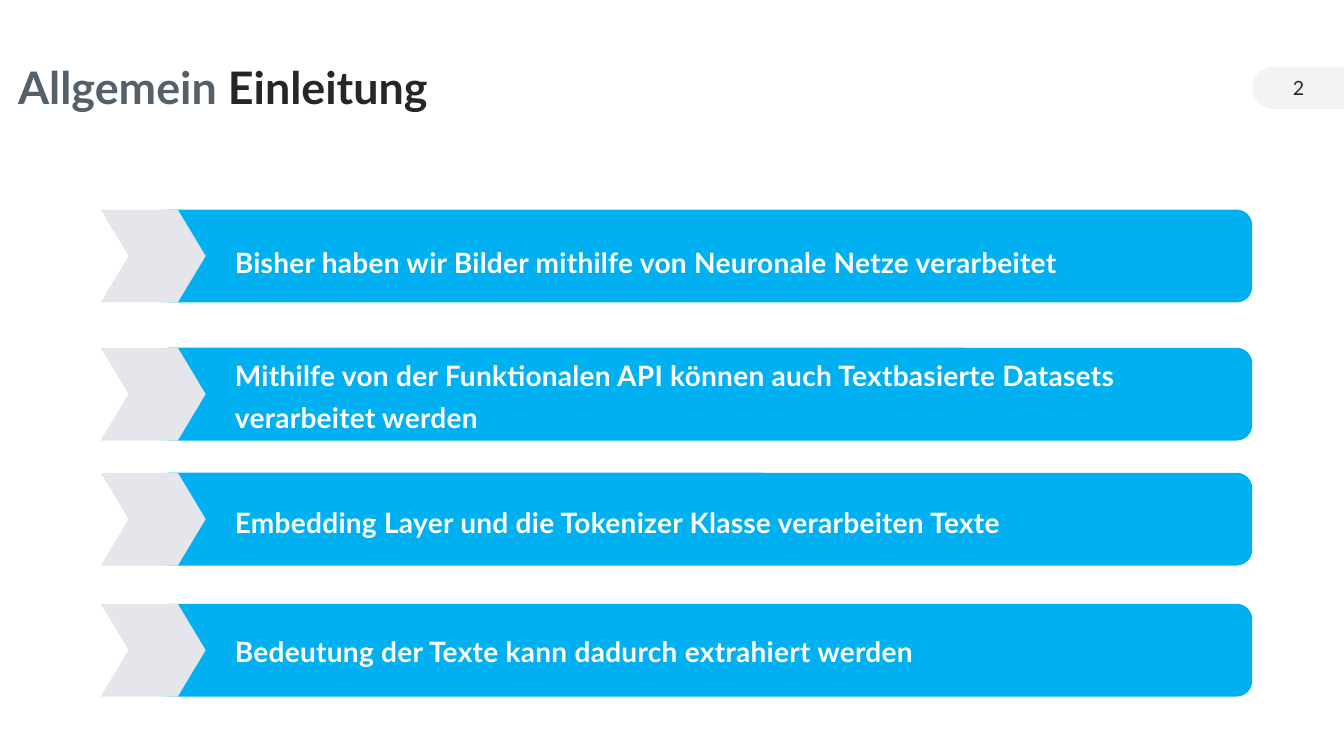
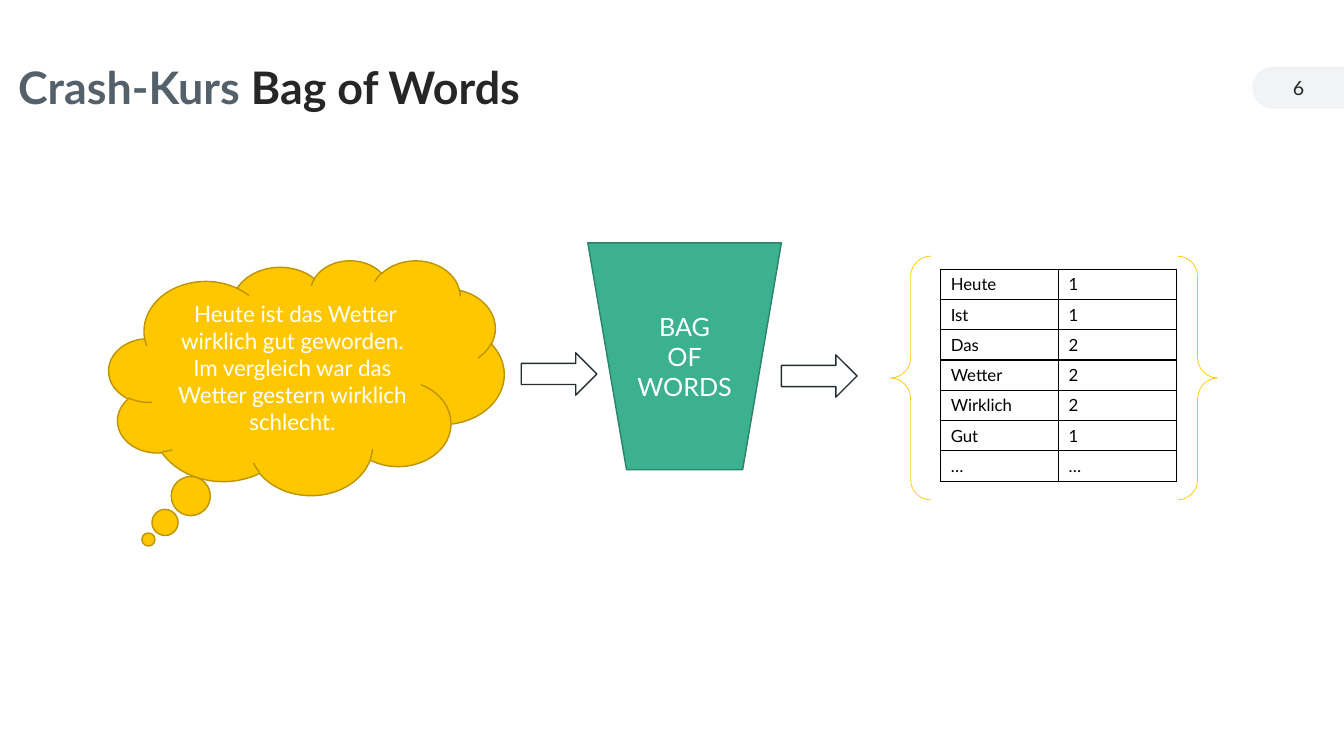
from lxml.etree import SubElement
from pptx import Presentation
from pptx.dml.color import RGBColor
from pptx.enum.shapes import MSO_SHAPE as Shape
from pptx.enum.text import MSO_ANCHOR as Anchor, MSO_AUTO_SIZE as AutoSize, PP_ALIGN as Align
from pptx.oxml.ns import qn
from pptx.util import Inches, Pt

FONT = "Lato"
COLORS = {
    "white": "FFFFFF", "black": "000000", "dark": "262626", "slate": "55616A",
    "pill": "F1F3F5", "blue": "00B0F0", "chevron": "E4E6EB",
    "yellow": "FFC700", "ochre": "BD9300",
    "green": "3BB18F", "pine": "2C836A", "arrow": "262E32",
}
BANDS = [
    (2.08, 0.02, "Bisher haben wir Bilder mithilfe von Neuronale Netze verarbeitet"),
    (3.45, -0.02, "Mithilfe von der Funktionalen API können auch Textbasierte Datasets "
                  "verarbeitet werden"),
    (4.69, -0.01, "Embedding Layer und die Tokenizer Klasse verarbeiten Texte"),
    (5.99, -0.03, "Bedeutung der Texte kann dadurch extrahiert werden"),
]
BAND_HEIGHT = 0.92
SENTENCE = (" Heute ist das Wetter wirklich gut geworden. "
            "Im vergleich war das Wetter gestern wirklich schlecht.")
WORD_COUNTS = [("Heute", "1"), ("Ist", "1"), ("Das", "2"), ("Wetter", "2"),
               ("Wirklich", "2"), ("Gut", "1"), ("…", "…")]


def color(name):
    """Return the palette colour with this name."""
    return RGBColor.from_string(COLORS[name])


def add_run(paragraph, text, size, color_name, bold=False, spacing=None):
    """Append one formatted run to a paragraph."""
    run = paragraph.add_run()
    run.text = text
    formats = {"name": FONT, "size": Pt(size), "bold": bold}
    for name, value in formats.items():
        setattr(run.font, name, value)
    run.font.color.rgb = color(color_name)
    if spacing is not None:
        run._r.get_or_add_rPr().set("spc", str(round(spacing * 100)))


def format_frame(frame, anchor=Anchor.MIDDLE, side_margin=0.1):
    """Set wrapping, anchor and margins of a text frame."""
    formats = {
        "word_wrap": True, "auto_size": AutoSize.NONE, "vertical_anchor": anchor,
        "margin_left": Inches(side_margin), "margin_right": Inches(side_margin),
        "margin_top": Inches(0.05), "margin_bottom": Inches(0.05),
    }
    for name, value in formats.items():
        setattr(frame, name, value)


def add_shape(slide, kind, box, fill=None, line=None, line_width=1, adjustments=()):
    """Add a flat preset shape in a box given in inches."""
    shape = slide.shapes.add_shape(kind, *map(Inches, box))
    shape.shadow.inherit = False
    if fill:
        shape.fill.solid()
        shape.fill.fore_color.rgb = color(fill)
    else:
        shape.fill.background()
    if line:
        shape.line.color.rgb = color(line)
        shape.line.width = Pt(line_width)
    else:
        shape.line.fill.background()
    for index, value in enumerate(adjustments):
        shape.adjustments[index] = value
    return shape


def add_text(slide, box, text, size, color_name, align=Align.LEFT, line_spacing=1.0, **run_format):
    """Add a one-paragraph text box without side margins."""
    frame = slide.shapes.add_textbox(*map(Inches, box)).text_frame
    format_frame(frame, side_margin=0)
    paragraph = frame.paragraphs[0]
    paragraph.alignment = align
    paragraph.line_spacing = line_spacing
    add_run(paragraph, text, size, color_name, **run_format)


def fill_shape_text(shape, lines, size, anchor=Anchor.MIDDLE):
    """Write centred white paragraphs into a shape."""
    frame = shape.text_frame
    format_frame(frame, anchor)
    for index, line in enumerate(lines):
        paragraph = frame.add_paragraph() if index else frame.paragraphs[0]
        paragraph.alignment = Align.CENTER
        add_run(paragraph, line, size, "white")


def add_page_number(slide, number, box):
    """Draw the page number on a pill rounded at its left end."""
    left, top, width, height = box
    upright = (left + (width - height) / 2, top + (height - width) / 2, height, width)
    pill = add_shape(slide, Shape.ROUND_2_SAME_RECTANGLE, upright, "pill", adjustments=(0.5, 0))
    pill.rotation = 270
    add_text(slide, box, str(number), 14, "dark", Align.CENTER)


def add_titled_slide(presentation, topic, heading, number):
    """Add a title-only slide with a two-colour title and page number."""
    slide = presentation.slides.add_slide(presentation.slide_layouts[5])
    title = slide.shapes.title
    place = {"left": 0.18, "top": 0.45, "width": 8.65, "height": 0.88}
    for name, value in place.items():
        setattr(title, name, Inches(value))
    format_frame(title.text_frame, side_margin=0)
    paragraph = title.text_frame.paragraphs[0]
    paragraph.alignment = Align.LEFT
    paragraph.line_spacing = 0.9
    add_run(paragraph, topic + " ", 32, "slate", bold=True)
    add_run(paragraph, heading, 32, "dark", bold=True)
    add_page_number(slide, number, (12.42, 0.66, 0.92, 0.42))
    return slide


def add_band(slide, box, text, text_shift):
    """Draw a blue band with a chevron at its left end."""
    left, top, width, height = box
    add_shape(slide, Shape.ROUNDED_RECTANGLE, (left + 0.52, top, width - 0.52, height), "blue")
    add_shape(slide, Shape.CHEVRON, (left, top, 1.04, height), "chevron", adjustments=(0.3,))
    add_text(slide, (left + 1.33, top + text_shift, 9.86, height), text, 20, "white",
             line_spacing=1.25, bold=True, spacing=0.2)


def border_cell(cell, color_name, width):
    """Give a table cell four solid borders."""
    properties = cell._tc.get_or_add_tcPr()
    for index, side in enumerate(("a:lnL", "a:lnR", "a:lnT", "a:lnB")):
        line = SubElement(properties, qn(side), w=str(Pt(width)))
        SubElement(SubElement(line, qn("a:solidFill")), qn("a:srgbClr"), val=COLORS[color_name])
        properties.insert(index, line)


def add_count_table(slide, box, rows):
    """Add the bordered table of word counts."""
    table = slide.shapes.add_table(len(rows), len(rows[0]), *map(Inches, box)).table
    table.first_row = False
    table.horz_banding = False
    for row_index, row in enumerate(rows):
        for column_index, text in enumerate(row):
            cell = table.cell(row_index, column_index)
            cell.fill.background()
            border_cell(cell, "black", 1)
            add_run(cell.text_frame.paragraphs[0], text, 12, "black")


def add_braced_counts(slide, box):
    """Place the count table centred between braces."""
    left, top, width, height = box
    add_shape(slide, Shape.DOUBLE_BRACE, box, line="yellow", line_width=0.5)
    add_count_table(slide, (left + 0.5, top + 0.13, width - 0.91, height - 0.32), WORD_COUNTS)


def build_introduction(presentation):
    """Build the slide of four introductory statements."""
    slide = add_titled_slide(presentation, "Allgemein", "Einleitung", 2)
    for top, text_shift, text in BANDS:
        add_band(slide, (1, top, 11.42, BAND_HEIGHT), text, text_shift)


def build_bag_of_words(presentation):
    """Build the slide leading from a sentence to word counts."""
    slide = add_titled_slide(presentation, "Crash-Kurs", "Bag of Words", 6)
    cloud = add_shape(slide, Shape.CLOUD_CALLOUT, (1.08, 2.58, 3.92, 2.33), "yellow", "ochre",
                      adjustments=(-0.4, 0.69))
    fill_shape_text(cloud, [SENTENCE], 16, Anchor.TOP)
    funnel = add_shape(slide, Shape.FLOWCHART_MANUAL_OPERATION, (5.83, 2.41, 1.92, 2.25),
                       "green", "pine")
    fill_shape_text(funnel, ["BAG", "OF", "WORDS"], 18)
    for left, top in ((5.17, 3.5), (7.75, 3.52)):
        add_shape(slide, Shape.RIGHT_ARROW, (left, top, 0.75, 0.42), "white", "arrow")
    add_braced_counts(slide, (8.83, 2.54, 3.25, 2.42))


def main():
    """Build and save the presentation."""
    presentation = Presentation()
    presentation.slide_width = Inches(13.33)
    presentation.slide_height = Inches(7.5)
    build_introduction(presentation)
    build_bag_of_words(presentation)
    presentation.save("out.pptx")


if __name__ == "__main__":
    main()
